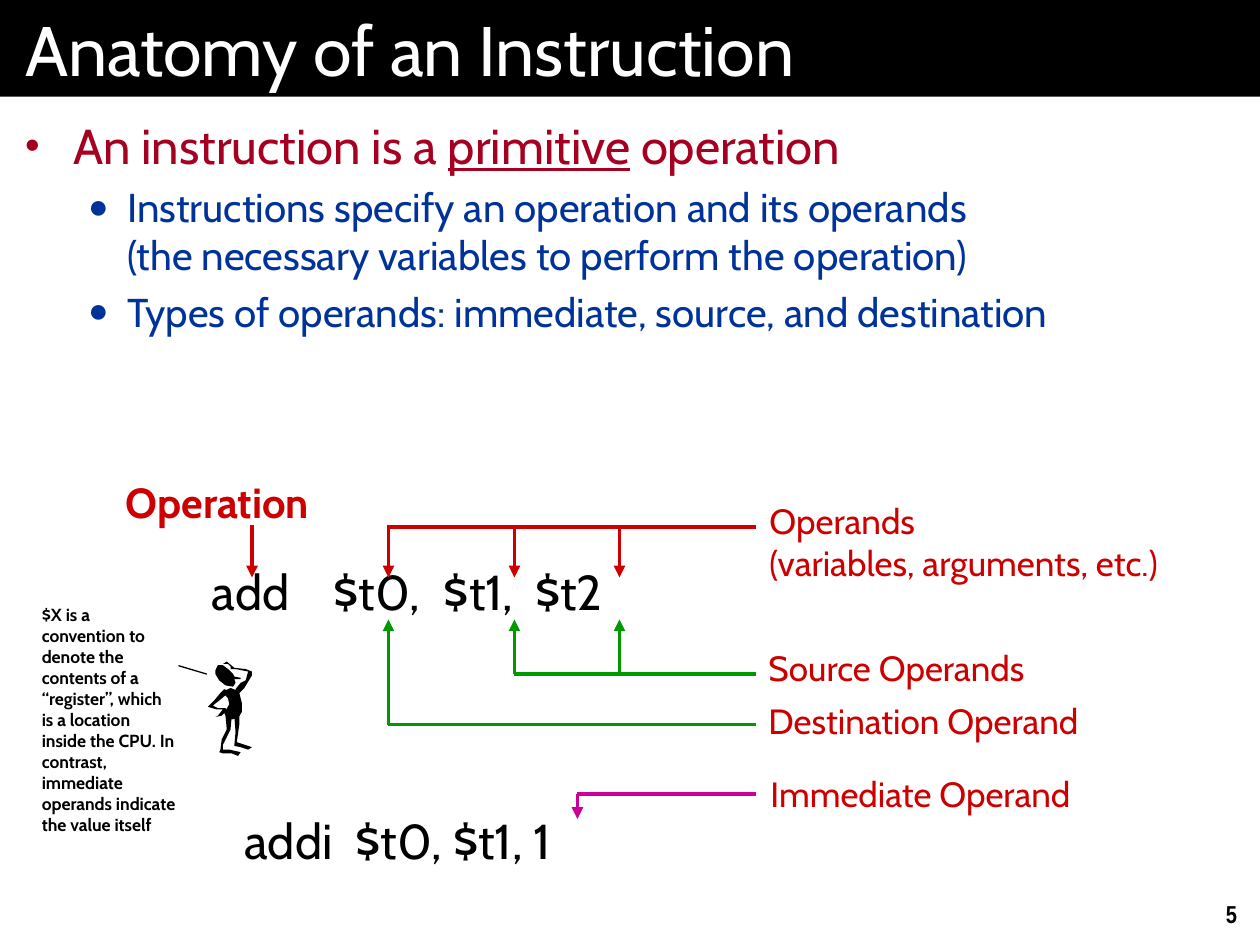
from dataclasses import dataclass
from typing import NamedTuple

from lxml import etree
from pptx import Presentation
from pptx import util as u
from pptx.dml.color import RGBColor
from pptx.enum import shapes, text
from pptx.oxml import ns

COLUMNS, ROWS = 120, 90  # twelve cells to the inch


@dataclass(frozen=True)
class Theme:
    font: str = "Cabin"
    number_font: str = "Arial Narrow"
    black: str = "000000"
    white: str = "FFFFFF"
    crimson: str = "A50021"
    blue: str = "003399"
    red: str = "CC0000"
    green: str = "009900"
    magenta: str = "CC0099"
    title: float = 40
    code: float = 28
    point: float = 28
    subpoint: float = 23
    heading: float = 24
    label: float = 20
    number: float = 14
    note: float = 10
    arrow: float = 2.25
    hairline: float = 0.75


THEME = Theme()


class Label(NamedTuple):
    words: str
    col: float
    row: float
    cols: float
    rows: float
    size: float
    color: str
    bold: bool = False
    tabs: tuple[float, ...] = ()
    font: str = THEME.font
    align: text.PP_ALIGN = text.PP_ALIGN.LEFT


class Line(NamedTuple):
    start: tuple[float, float]
    end: tuple[float, float]
    color: str
    arrow: bool = False
    width: float = THEME.arrow


class Bullet(NamedTuple):
    runs: tuple[str, ...]  # every second run is underlined
    level: int
    mark: str
    margin: float
    indent: float
    size: float
    color: str


deck = Presentation()
deck.slide_width, deck.slide_height = u.Inches(10), u.Inches(7.5)
page = deck.slides.add_slide(deck.slide_layouts[1])


def across(cols: float) -> int:
    return round(deck.slide_width * cols / COLUMNS)


def down(rows: float) -> int:
    return round(deck.slide_height * rows / ROWS)


def child(parent, tag: str, **values):
    return etree.SubElement(parent, ns.qn(tag), {k: str(v) for k, v in values.items()})


def set_font(font, size: float, color: str, bold: bool = False, name: str = THEME.font) -> None:
    font.name, font.size, font.bold = name, u.Pt(size), bold
    font.color.rgb = RGBColor.from_string(color)


def place(shape, col: float, row: float, cols: float, rows: float) -> None:
    shape.left, shape.top = across(col), down(row)
    shape.width, shape.height = across(cols), down(rows)


def set_frame(frame, side: float, edge: float, anchor: text.MSO_ANCHOR) -> None:
    frame.margin_left = frame.margin_right = u.Inches(side)
    frame.margin_top = frame.margin_bottom = u.Inches(edge)
    frame.vertical_anchor = anchor
    frame.auto_size = text.MSO_AUTO_SIZE.NONE
    frame.word_wrap = True


def add_bullet(para, bullet: Bullet) -> None:
    para.level = bullet.level
    set_font(para.font, bullet.size, bullet.color)
    for index, words in enumerate(bullet.runs):
        for part, piece in enumerate(words.split("\v")):
            if part:
                para.add_line_break()
            span = para.add_run()
            span.text = piece
            set_font(span.font, bullet.size, bullet.color)
            if index % 2:
                span.font.underline = True
    props = para._p.get_or_add_pPr()
    props.set("marL", str(u.Inches(bullet.margin)))
    props.set("indent", str(u.Inches(bullet.indent)))
    marks = [child(props, "a:buClr"), child(props, "a:buSzPct", val=85000),
             child(props, "a:buFont", typeface="Arial"),
             child(props, "a:buChar", char=bullet.mark)]
    child(marks[0], "a:srgbClr", val=bullet.color)
    for position, mark in enumerate(marks):
        props.insert(position, mark)


def add_label(label: Label) -> None:
    box = page.shapes.add_textbox(across(label.col), down(label.row),
                                  across(label.cols), down(label.rows))
    set_frame(box.text_frame, 0.1, 0.05, text.MSO_ANCHOR.TOP)
    para = box.text_frame.paragraphs[0]
    para.text = label.words
    para.alignment = label.align
    set_font(para.font, label.size, label.color, label.bold, label.font)
    if label.tabs:
        props = para._p.get_or_add_pPr()
        stops = etree.Element(ns.qn("a:tabLst"))
        for tab in label.tabs:
            child(stops, "a:tab", pos=across(tab), algn="l")
        props.insert(0, stops)


def add_line(line: Line) -> None:
    (x1, y1), (x2, y2) = line.start, line.end
    connector = page.shapes.add_connector(shapes.MSO_CONNECTOR.STRAIGHT,
                                          across(x1), down(y1), across(x2), down(y2))
    connector.line.width = u.Pt(line.width)
    connector.line.color.rgb = RGBColor.from_string(line.color)
    if line.arrow:
        child(connector.line._get_or_add_ln(), "a:tailEnd", type="triangle")
    child(connector._element.spPr, "a:effectLst")


def add_limb(points: list[tuple[int, int]]) -> None:
    builder = page.shapes.build_freeform(*points[0], scale=u.Inches(0.01))
    builder.add_line_segments(points[1:], close=True)
    limb = builder.convert_to_shape()
    limb.shadow.inherit = False
    limb.fill.solid()
    limb.fill.fore_color.rgb = RGBColor.from_string(THEME.black)
    limb.line.fill.background()


# Title bar
title = page.shapes.title
place(title, 0, 0, COLUMNS, 9.2)
title.fill.solid()
title.fill.fore_color.rgb = RGBColor.from_string(THEME.black)
set_frame(title.text_frame, 0.2, 0.05, text.MSO_ANCHOR.MIDDLE)
heading = title.text_frame.paragraphs[0]
heading.text = "Anatomy of an Instruction"
heading.alignment = text.PP_ALIGN.LEFT
set_font(heading.font, THEME.title, THEME.white)

# Bullet list
body = page.placeholders[1]
place(body, 0, 9.2, COLUMNS, ROWS - 9.2)
set_frame(body.text_frame, 0.2, 0.15, text.MSO_ANCHOR.TOP)
SUB = (1, "●", 0.81, -0.31, THEME.subpoint, THEME.blue)
bullets = [
    Bullet(("An instruction is a ", "primitive", " operation"),
           0, "•", 0.38, -0.38, THEME.point, THEME.crimson),
    Bullet(("Instructions specify an operation and its operands \v"
            "(the necessary variables to perform the operation)",), *SUB),
    Bullet(("Types of operands: immediate, source, and destination",), *SUB),
]
for index, bullet in enumerate(bullets):
    frame = body.text_frame
    add_bullet(frame.add_paragraph() if index else frame.paragraphs[0], bullet)

# Instructions, labels, note and page number
LABEL = (THEME.label, THEME.red)
for label in [
    Label("add\t$t0,\t$t1,\t$t2", 19, 52.9, 44.9, 6.8, THEME.code, THEME.black,
          tabs=(11.6, 22.1, 30.8)),
    Label("addi\t$t0, $t1, 1", 22.1, 76.6, 35.9, 6.8, THEME.code, THEME.black, tabs=(10.6,)),
    Label("Operation", 10.8, 44.8, 22.7, 6.1, THEME.heading, THEME.red, bold=True),
    Label("Operands\v(variables, arguments, etc.)", 72.1, 47, 43.3, 9.2, *LABEL),
    Label("Source Operands", 72, 61, 27.7, 5.3, *LABEL),
    Label("Destination Operand", 72, 66, 32.9, 5.3, *LABEL),
    Label("Immediate Operand", 72.2, 73, 32.2, 5.3, *LABEL),
    Label("$X is a convention to denote the contents of a “register”, which is a location "
          "inside the CPU. In contrast, immediate operands indicate the value itself",
          2.8, 56.9, 15.2, 27.5, THEME.note, THEME.black, bold=True),
    Label("5", 114, 85, 5, 4, THEME.number, THEME.black, bold=True,
          font=THEME.number_font, align=text.PP_ALIGN.RIGHT),
]:
    add_label(label)

# Arrows between the operands and their labels
OPERATION, FIRST, SECOND, IMMEDIATE, THIRD, LABELS = 24, 37, 49, 55, 59, 72
for col in (OPERATION, FIRST, SECOND, THIRD):
    add_line(Line((col, 50), (col, 55), THEME.red, arrow=True))
for col, row in ((SECOND, 64.2), (THIRD, 64.2), (FIRST, 69)):
    add_line(Line((col, row), (col, 59), THEME.green, arrow=True))
add_line(Line((IMMEDIATE, 75.6), (IMMEDIATE, 78), THEME.magenta, arrow=True))
for col, row, color in ((FIRST, 50.2, THEME.red), (SECOND, 64.2, THEME.green),
                        (FIRST, 69, THEME.green), (IMMEDIATE, 75.6, THEME.magenta)):
    add_line(Line((col, row), (LABELS, row), color))
add_line(Line((17, 63.4), (19.7, 64.2), THEME.black, width=THEME.hairline))

# Thinking figure: head, torso, two arms and two legs, in hundredths of an inch
for limb in [
    [(185, 535), (181, 531), (177, 528), (173, 528), (171, 532), (171, 535), (174, 540),
     (179, 544), (185, 545), (187, 542), (186, 539), (191, 539), (191, 538), (186, 537)],
    [(188, 548), (183, 546), (179, 548), (178, 551), (181, 554), (182, 559), (178, 566),
     (180, 570), (184, 571), (189, 570), (192, 565), (192, 558), (190, 550)],
    [(181, 548), (178, 547), (175, 550), (170, 556), (165, 561), (172, 563), (177, 563),
     (173, 568), (171, 569), (176, 568), (180, 564), (179, 562), (173, 562), (169, 560),
     (174, 556), (180, 551)],
    [(183, 566), (180, 566), (179, 568), (180, 579), (176, 587), (175, 595), (174, 597),
     (177, 598), (184, 598), (189, 600), (191, 597), (182, 595), (177, 595), (177, 591),
     (183, 579), (184, 568)],
    [(189, 567), (186, 568), (187, 581), (186, 592), (191, 593), (197, 595), (200, 593),
     (191, 590), (188, 589), (190, 575), (190, 568)],
    [(188, 550), (187, 547), (191, 542), (195, 540), (197, 533), (187, 531), (183, 531),
     (183, 529), (181, 527), (177, 527), (180, 525), (186, 530), (195, 531), (200, 533),
     (200, 536), (194, 546), (190, 550)],
]:
    add_limb(limb)

deck.save("out.pptx")
